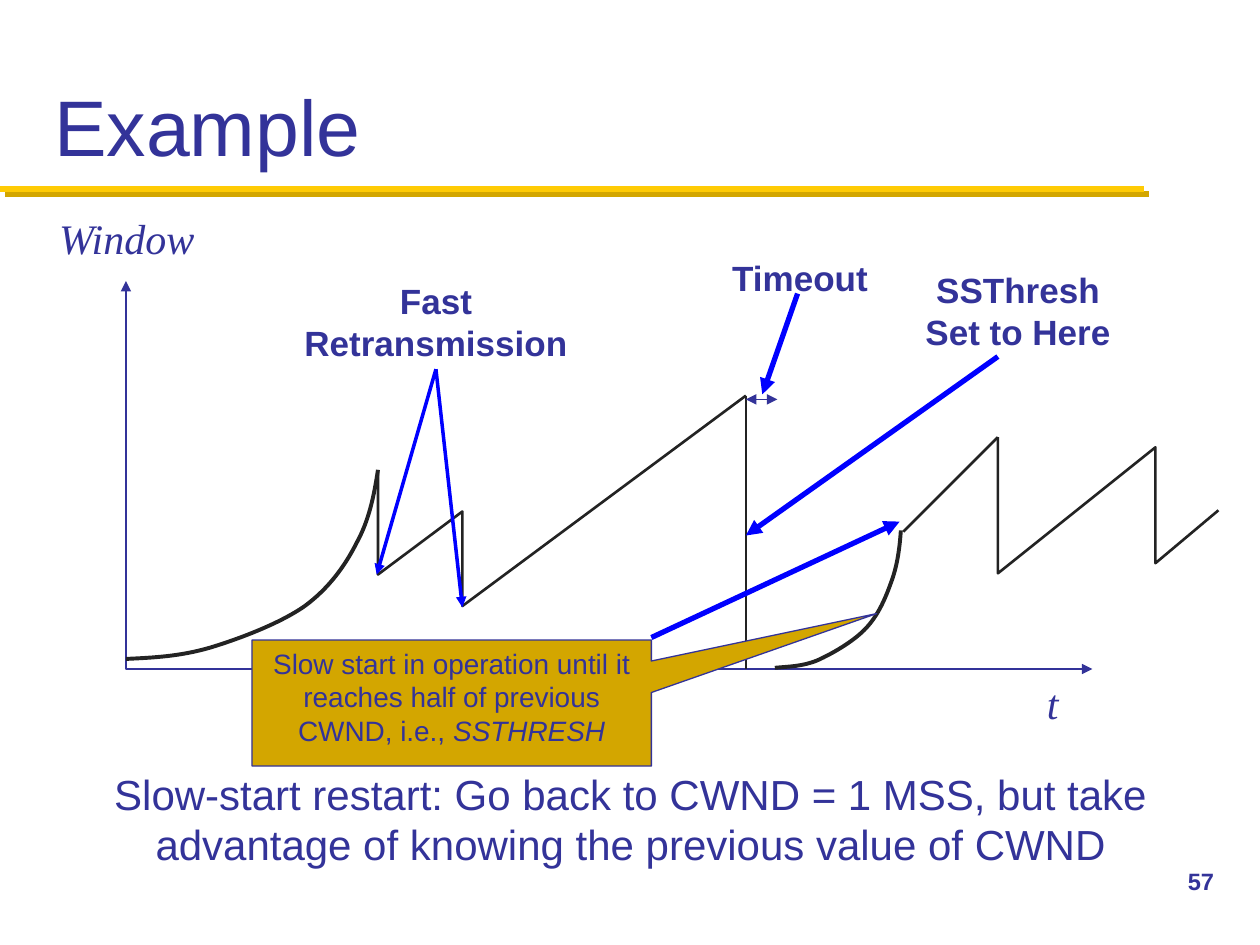
from lxml.etree import SubElement
from pptx import Presentation
from pptx.dml.color import RGBColor
from pptx.enum.shapes import MSO_CONNECTOR, MSO_SHAPE
from pptx.enum.text import MSO_ANCHOR, PP_ALIGN
from pptx.oxml.ns import qn
from pptx.util import Inches, Pt

COLORS = {"text": "333399", "curve": "232323", "arrow": "0000FF",
          "rule": "FFCB05", "gold": "D3A600"}
SANS, SERIF = "Arial", "Times New Roman"
LEFT, CENTER = PP_ALIGN.LEFT, PP_ALIGN.CENTER

TITLE = "Example"
CALLOUT = ("Slow start in operation until it reaches half of previous CWND, i.e., ",
           "SSTHRESH")
LABELS = [
    ("57", (9.33, 6.83, 0.67, 0.5), 13.5, SANS, "bold", LEFT),
    ("t", (8.21, 5.33, 0.29, 0.5), 24, SERIF, "italic", LEFT),
    ("Window", (0.37, 1.64, 1.29, 0.5), 24, SERIF, "italic", LEFT),
    ("Slow-start restart: Go back to CWND = 1 MSS, but take advantage of "
     "knowing the previous value of CWND", (0.72, 6.05, 8.57, 0.91), 24, SANS, "", CENTER),
    ("Timeout", (5.58, 1.99, 1.54, 0.43), 20, SANS, "bold", CENTER),
    ("Fast Retransmission", (2.17, 2.17, 2.58, 0.77), 20, SANS, "bold", CENTER),
    ("SSThresh\nSet to Here", (7.08, 2.08, 2, 0.77), 20, SANS, "bold", CENTER),
]
AXES = [(1, 2.23), (1, 5.31), (8.67, 5.31)]
SLOW_STARTS = [
    [(3, 3.73), (2.97, 3.93), (2.93, 4.13), (2.83, 4.31), (2.74, 4.49), (2.61, 4.67),
     (2.42, 4.81), (2.22, 4.95), (1.9, 5.07), (1.67, 5.14), (1.43, 5.21), (1.22, 5.22),
     (1, 5.23)],
    [(7.15, 4.21), (7.14, 4.36), (7.12, 4.5), (7.07, 4.63), (7.02, 4.77), (6.96, 4.9),
     (6.86, 5), (6.76, 5.1), (6.6, 5.19), (6.49, 5.24), (6.37, 5.29), (6.26, 5.29),
     (6.15, 5.3)],
]
SAWTEETH = [
    [(3, 3.73), (3, 4.56), (3.67, 4.06), (3.67, 4.81), (5.92, 3.14)],
    [(7.92, 3.47), (7.92, 4.55), (9.17, 3.55), (9.17, 4.47), (9.67, 4.05)],
]
WINDOW_LINES = [((5.92, 3.14), (5.92, 5.31)), ((7.17, 4.22), (7.92, 3.47))]
POINTERS = [
    ((5.17, 5.06), (7.14, 4.14), 3),
    ((6.33, 2.33), (6.05, 3.13), 3),
    ((3.46, 2.93), (2.99, 4.56), 2),
    ((3.46, 2.93), (3.67, 4.82), 2),
    ((7.92, 2.83), (5.92, 4.25), 3),
]
TIMEOUT_SPAN = ((5.92, 3.17), (6.17, 3.17))


def rgb(name):
    return RGBColor.from_string(COLORS[name])


def style_line(shape, color, width, ends=()):
    shape.line.color.rgb = rgb(color)
    shape.line.width = Pt(width)
    outline = shape._element.spPr.find(qn("a:ln"))
    for end in ends:
        SubElement(outline, qn(f"a:{end}"), type="triangle")


def add_line(slide, start, end, color, width, ends=()):
    points = [Inches(value) for value in (*start, *end)]
    connector = slide.shapes.add_connector(MSO_CONNECTOR.STRAIGHT, *points)
    style_line(connector, color, width, ends)
    return SubElement(connector._element.spPr, qn("a:effectLst"))


def add_path(slide, points, color, width, ends=()):
    points = [(Inches(x), Inches(y)) for x, y in points]
    builder = slide.shapes.build_freeform(*points[0])
    builder.add_line_segments(points[1:], close=False)
    shape = builder.convert_to_shape()
    shape.shadow.inherit = False
    shape.fill.background()
    style_line(shape, color, width, ends)
    return shape


def add_curve(slide, points, color, width):
    path = next(add_path(slide, points, color, width)._element.iter(qn("a:path")))
    segments = path.findall(qn("a:lnTo"))
    for index in range(0, len(segments), 3):
        curve = SubElement(path, qn("a:cubicBezTo"))
        for segment in segments[index:index + 3]:
            curve.append(segment[0])
            path.remove(segment)


def format_text(text_frame, size, font, style="", alignment=LEFT):
    for paragraph in text_frame.paragraphs:
        paragraph.alignment = alignment
        for run in paragraph.runs:
            run.font.size = Pt(size)
            run.font.name = font
            run.font.color.rgb = rgb("text")
            run.font.bold = style == "bold"
            run.font.italic = style == "italic"


def add_title(slide):
    title = slide.shapes.title
    title.left, title.top, title.width, title.height = map(Inches, (0.33, 0.17, 9.33, 1.25))
    title.text_frame.text = TITLE
    title.text_frame.vertical_anchor = MSO_ANCHOR.BOTTOM
    format_text(title.text_frame, 45, SANS)


def add_rule(slide):
    effects = add_line(slide, (0, 1.5), (9.08, 1.5), "rule", 3.5)
    shadow = SubElement(effects, qn("a:outerShdw"), dist=str(Pt(4.2)), dir="2700000",
                        algn="ctr", rotWithShape="0")
    SubElement(shadow, qn("a:srgbClr"), val=COLORS["gold"])


def add_callout(slide):
    callout = slide.shapes.add_shape(MSO_SHAPE.RECTANGULAR_CALLOUT,
                                     *map(Inches, (2, 5.08, 3.17, 1)))
    callout.adjustments[0], callout.adjustments[1] = 1.064, -0.71
    callout.shadow.inherit = False
    callout.fill.solid()
    callout.fill.fore_color.rgb = rgb("gold")
    style_line(callout, "text", 0.75)
    text_frame = callout.text_frame
    text_frame.vertical_anchor = MSO_ANCHOR.TOP
    text_frame.text = CALLOUT[0]
    emphasis = text_frame.paragraphs[0].add_run()
    emphasis.text = CALLOUT[1]
    format_text(text_frame, 16, SANS, alignment=CENTER)
    emphasis.font.italic = True


def add_label(slide, text, box, size, font, style, alignment):
    text_frame = slide.shapes.add_textbox(*map(Inches, box)).text_frame
    text_frame.word_wrap = font == SANS
    text_frame.text = text
    format_text(text_frame, size, font, style, alignment)


def main():
    """Build the congestion window example slide."""
    presentation = Presentation()
    presentation.slide_width, presentation.slide_height = Inches(10), Inches(7.5)
    slide = presentation.slides.add_slide(presentation.slide_layouts[5])
    add_rule(slide)
    add_title(slide)
    add_path(slide, AXES, "text", 1.5, ("headEnd", "tailEnd"))
    for points in SLOW_STARTS:
        add_curve(slide, points, "curve", 2.25)
    for points in SAWTEETH:
        add_path(slide, points, "curve", 1.5)
    for start, end in WINDOW_LINES:
        add_line(slide, start, end, "curve", 1.5)
    add_callout(slide)
    for start, end, width in POINTERS:
        add_line(slide, start, end, "arrow", width, ("tailEnd",))
    add_line(slide, *TIMEOUT_SPAN, "text", 0.75, ("headEnd", "tailEnd"))
    for label in LABELS:
        add_label(slide, *label)
    presentation.save("out.pptx")


if __name__ == "__main__":
    main()
